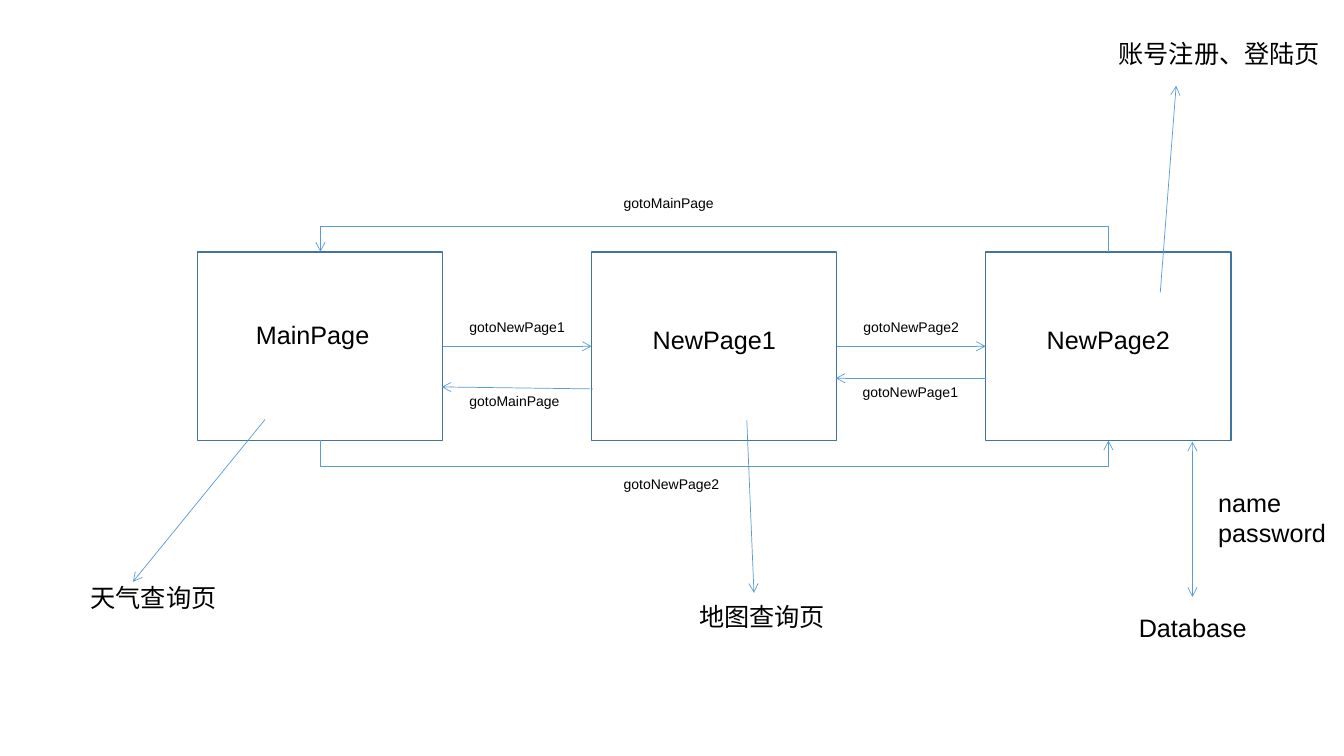
from lxml.etree import SubElement
from pptx import Presentation
from pptx.dml.color import RGBColor
from pptx.enum.shapes import MSO_CONNECTOR, MSO_SHAPE
from pptx.enum.text import MSO_AUTO_SIZE, MSO_VERTICAL_ANCHOR
from pptx.oxml.ns import qn
from pptx.util import Cm, Pt

PAGE_LEFT, PAGE_TOP, PAGE_WIDTH, PAGE_HEIGHT = 4.98, 6.35, 6.18, 4.75
PITCH = 9.93  # from one page box to the next
DETOUR = 0.66  # how far the bent arrows stand off the boxes
LEFT_SITE, RIGHT_SITE = 1, 3


def color(hex_string):
    """Turn a hex string into a colour."""
    return RGBColor.from_string(hex_string)


class Diagram:
    """Holds the style and the current slide."""

    font, ink, paper = "Arial", "000000", "FFFFFF"
    border, arrow_color = "43739E", "5B9BD5"

    def __init__(self, slide):
        """Draw on the given slide."""
        self.shapes = slide.shapes

    def page(self, left):
        """Add an empty page box."""
        box = self.shapes.add_shape(MSO_SHAPE.RECTANGLE, Cm(left), Cm(PAGE_TOP),
                                    Cm(PAGE_WIDTH), Cm(PAGE_HEIGHT))
        box.shadow.inherit = False
        box.fill.solid()
        box.fill.fore_color.rgb = color(self.paper)
        box.line.color.rgb = color(self.border)
        box.line.width = Pt(1)
        return box

    def text(self, wording, left, top, width, height=1.02, size=18):
        """Add unwrapped text, one paragraph per line."""
        box = self.shapes.add_textbox(Cm(left), Cm(top), Cm(width), Cm(height))
        frame = box.text_frame
        frame.text = wording
        frame.word_wrap = False
        frame.auto_size = MSO_AUTO_SIZE.SHAPE_TO_FIT_TEXT
        frame.vertical_anchor = MSO_VERTICAL_ANCHOR.TOP
        for paragraph in frame.paragraphs:
            paragraph.font.name = self.font
            paragraph.font.size = Pt(size)
            paragraph.font.color.rgb = color(self.ink)

    def label(self, wording, left, top, width):
        """Add a small caption for an arrow."""
        self.text(wording, left, top, width, height=0.69, size=10)

    def arrow(self, start, end, both=False, kind=MSO_CONNECTOR.STRAIGHT):
        """Add an arrow, with heads at both ends if asked."""
        line = self.shapes.add_connector(kind, *map(Cm, start + end))
        line.line.color.rgb = color(self.arrow_color)
        line.line.width = Pt(0.5)
        outline = line._element.spPr.find(qn("a:ln"))
        for tag in ("a:headEnd", "a:tailEnd") if both else ("a:tailEnd",):
            SubElement(outline, qn(tag), type="arrow")
        SubElement(line._element.spPr, qn("a:effectLst"))
        return line

    def link(self, source, target):
        """Join the right side of one page to the left side of the next."""
        line = self.arrow((0, 0), (1, 1))
        line.begin_connect(source, RIGHT_SITE)
        line.end_connect(target, LEFT_SITE)

    def detour(self, level, degrees):
        """Add a bent arrow between the outer pages, turned by the degrees."""
        middle, depth = PAGE_LEFT + PAGE_WIDTH / 2 + PITCH, 0.01
        line = self.arrow((middle, level + PITCH), (middle + depth, level - PITCH),
                          kind=MSO_CONNECTOR.ELBOW)
        properties = line._element.spPr
        properties.find(qn("a:xfrm")).set("rot", str(degrees * 60000))
        guides = properties.find(qn("a:prstGeom")).get_or_add_avLst()
        ratio = round(DETOUR / depth * 100000)
        SubElement(guides, qn("a:gd"), name="adj1", fmla=f"val {ratio}")


presentation = Presentation()
presentation.slide_width, presentation.slide_height = Cm(33.87), Cm(19.05)
diagram = Diagram(presentation.slides.add_slide(presentation.slide_layouts[6]))

main_page, new_page1, new_page2 = [
    diagram.page(PAGE_LEFT + PITCH * column) for column in range(3)]
diagram.text("MainPage", 6.2, 7.91, 3.5)
diagram.text("NewPage1", 16.2, 8.05, 3.65)
diagram.text("NewPage2", 16.2 + PITCH, 8.05, 3.65)

diagram.link(main_page, new_page1)
diagram.link(new_page1, new_page2)
diagram.arrow((14.94, 9.8), (11.13, 9.75))
diagram.arrow((24.84, 9.53), (21.06, 9.53))
diagram.detour(PAGE_TOP + PAGE_HEIGHT, 90)
diagram.detour(PAGE_TOP, 270)

for wording, left, top, width in (
        ("gotoNewPage1", 11.58, 7.9, 2.95),
        ("gotoNewPage1", 21.49, 9.53, 2.95),
        ("gotoNewPage2", 21.51, 7.9, 2.95),
        ("gotoMainPage", 11.58, 9.76, 2.8),
        ("gotoNewPage2", 15.47, 11.87, 2.95),
        ("gotoMainPage", 15.47, 4.78, 2.8)):
    diagram.label(wording, left, top, width)

diagram.arrow((30.05, 11.13), (30.05, 15.04), both=True)
diagram.text("Database", 28.45, 15.3, 3.25)
diagram.text("name\npassword", 30.45, 12.15, 3.25, height=1.8)

for start, end in (((6.68, 10.57), (3.35, 14.66)),
                   ((18.82, 10.59), (19, 14.94)),
                   ((29.24, 7.37), (29.64, 2.16))):
    diagram.arrow(start, end)
diagram.text("天气查询页", 2.03, 14.55, 3.7)
diagram.text("地图查询页", 17.37, 15.04, 3.7)
diagram.text("账号注册、登陆页", 27.94, 0.84, 5.6)

presentation.save("out.pptx")
